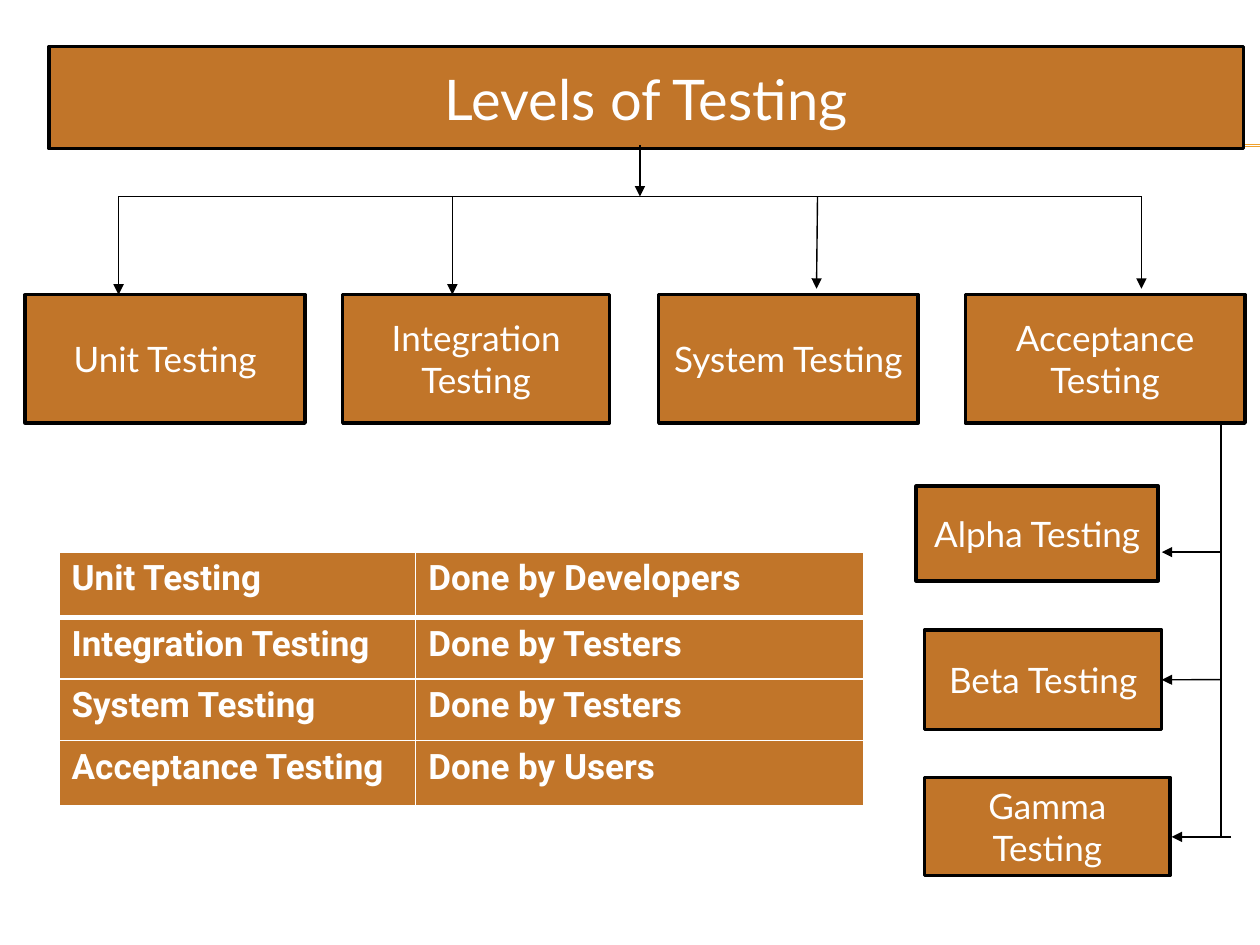
from lxml import etree
from pptx import Presentation
from pptx import util as u
from pptx.dml.color import RGBColor
from pptx.enum import shapes, text
from pptx.oxml.ns import qn

ORANGE, BLACK, WHITE, GOLD = "C17529", "000000", "FFFFFF", "F0A22E"


def color(value):
    return RGBColor.from_string(value)


def write(frame, words, size=20, font="Lato", bold=False, align=text.PP_ALIGN.CENTER):
    frame.word_wrap = True
    paragraph = frame.paragraphs[0]
    paragraph.alignment = align
    run = paragraph.add_run()
    run.text = words
    run.font.size = u.Pt(size)
    run.font.name = font
    run.font.bold = bold
    run.font.color.rgb = color(WHITE)


presentation = Presentation()
presentation.slide_width = u.Cm(25.4)
presentation.slide_height = u.Cm(19.05)
slide = presentation.slides.add_slide(presentation.slide_layouts[6])

rules = [(1.42, y, 25.4, y, GOLD, 0.75, False, None) for y in (2.92, 2.95)]

boxes = [
    ("Levels of Testing", 0.99, 0.94, 24.08, 2.06, 32),
    ("Unit Testing", 0.51, 5.94, 5.64, 2.59, 20),
    ("Integration Testing", 6.91, 5.94, 5.38, 2.59, 20),
    ("System Testing", 13.28, 5.94, 5.23, 2.59, 20),
    ("Acceptance Testing", 19.46, 5.94, 5.64, 2.59, 20),
    ("Alpha Testing", 18.47, 9.8, 4.88, 1.91, 20),
    ("Beta Testing", 18.64, 12.7, 4.78, 2.01, 20),
    ("Gamma Testing", 18.64, 15.67, 4.95, 1.98, 20),
]

bus_y, trunk_x = 3.96, 24.61
links = [
    (2.39, bus_y, 23.01, bus_y, False, None),
    (trunk_x, 8.53, trunk_x, 16.87, False, None),
    (12.9, 2.92, 12.9, bus_y, True, None),
    (2.39, bus_y, 2.39, 5.94, True, None),
    (9.12, bus_y, 9.12, 5.94, True, None),
    (16.48, bus_y, 16.46, 5.82, True, None),
    (23.01, bus_y, 23.01, 5.82, True, None),
    (trunk_x, 11.13, 23.42, 11.13, True, None),
    (trunk_x, 13.7, 23.42, 13.7, True, "Beta Testing"),
    (24.82, 16.87, 23.62, 16.87, True, None),
]
lines = rules + [(*link[:4], BLACK, 0.79, *link[4:]) for link in links]

placed = {}
for index, (x1, y1, x2, y2, line_color, width, arrow, target) in enumerate(lines):
    if index == len(rules):
        for words, left, top, box_width, height, size in boxes:
            shape = slide.shapes.add_shape(
                shapes.MSO_SHAPE.RECTANGLE,
                u.Cm(left), u.Cm(top), u.Cm(box_width), u.Cm(height))
            shape.shadow.inherit = False
            shape.fill.solid()
            shape.fill.fore_color.rgb = color(ORANGE)
            shape.line.color.rgb = color(BLACK)
            shape.line.width = u.Pt(2)
            shape.text_frame.vertical_anchor = text.MSO_ANCHOR.MIDDLE
            write(shape.text_frame, words, size=size)
            placed[words] = shape
    connector = slide.shapes.add_connector(
        shapes.MSO_CONNECTOR.STRAIGHT, u.Cm(x1), u.Cm(y1), u.Cm(x2), u.Cm(y2))
    connector.line.color.rgb = color(line_color)
    connector.line.width = u.Pt(width)
    if arrow:
        etree.SubElement(connector.line._get_or_add_ln(), qn("a:tailEnd"), type="triangle")
    etree.SubElement(connector._element.spPr, qn("a:effectLst"))
    if target:
        connector.end_connect(placed[target], 3)

rows = [
    ("Unit Testing", "Done by Developers"),
    ("Integration Testing", "Done by Testers"),
    ("System Testing", "Done by Testers"),
    ("Acceptance Testing", "Done by Users"),
]
column_widths = (7.19, 9.04)
row_heights = (1.32, 1.24, 1.24, 1.32)
table = slide.shapes.add_table(
    len(rows), len(column_widths), u.Cm(1.19), u.Cm(11.13),
    u.Cm(sum(column_widths)), u.Cm(sum(row_heights))).table
for column, width in zip(table.columns, column_widths):
    column.width = u.Cm(width)
for row_index, (row, height) in enumerate(zip(rows, row_heights)):
    table.rows[row_index].height = u.Cm(height)
    for column_index, words in enumerate(row):
        cell = table.cell(row_index, column_index)
        properties = cell._tc.get_or_add_tcPr()
        for side in ("lnL", "lnR", "lnT", "lnB"):
            thick = (row_index, side) in ((0, "lnB"), (1, "lnT"))
            border = etree.SubElement(
                properties, qn(f"a:{side}"), w=str(u.Pt(3 if thick else 1)))
            fill = etree.SubElement(border, qn("a:solidFill"))
            etree.SubElement(fill, qn("a:srgbClr"), val=WHITE)
        cell.fill.solid()
        cell.fill.fore_color.rgb = color(ORANGE)
        write(cell.text_frame, words, font="Roboto", bold=True, align=text.PP_ALIGN.LEFT)

presentation.save("out.pptx")
